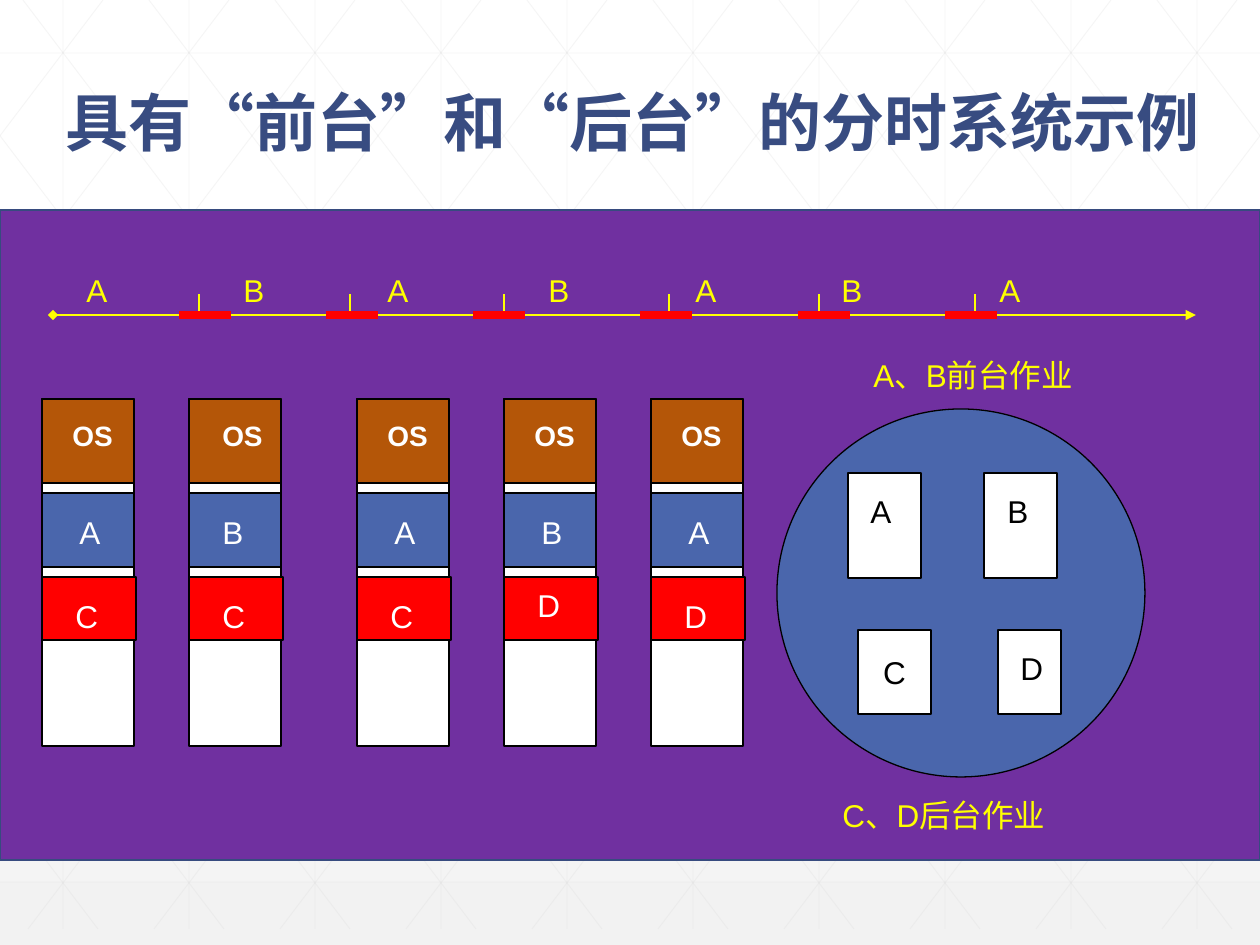
from lxml import etree
from pptx import Presentation
from pptx import util as u
from pptx.dml.color import RGBColor
from pptx.enum import shapes, text
from pptx.oxml.ns import qn

PX = u.Inches(1) / 126
WIDTH, HEIGHT, GRID_BOTTOM = 1260, 945, 929
COLOURS = {
    "white": "FFFFFF", "pale": "F2F2F2", "grid": "D9D9D9", "purple": "7030A0",
    "edge": "374B7F", "title": "384C81", "blue": "4A66AC", "brown": "B45608",
    "red": "FF0000", "yellow": "FFFF00", "black": "000000",
}
CJK, SERIF, SANS = "Noto Sans CJK SC", "Times New Roman", "Arial"

TITLE = [("具有", CJK), ("“", SERIF), ("前台", CJK), ("”", SERIF), ("和", CJK),
         ("“", SERIF), ("后台", CJK), ("”", SERIF), ("的分时系统示例", CJK)]
AXIS_Y = 315
TICKS = [199, 350, 504, 669, 819, 975]
SWITCHES = [179, 326, 473, 640, 798, 945]
TURNS = [("A", 74), ("B", 231), ("A", 375), ("B", 536), ("A", 683), ("B", 829), ("A", 987)]
# left, foreground job, background job, OS label offset, job label offset, lift of last label
MEMORY = [
    (42, "A", "C", 18, 25, 0),
    (189, "B", "C", 21, 21, 0),
    (357, "A", "C", 18, 25, 0),
    (504, "B", "D", 18, 25, 11),
    (651, "A", "D", 18, 25, 0),
]
# name, box, label box (None: centred in the job box)
JOBS = [
    ("A", (848, 473, 73, 105), (858, 483, 53, 50)),
    ("B", (984, 473, 73, 105), (995, 483, 53, 50)),
    ("C", (858, 630, 73, 84), None),
    ("D", (998, 630, 63, 84), (1008, 640, 63, 50)),
]
CAPTIONS = [("A、B前台作业", (861, 347, 284, 50)), ("C、D后台作业", (830, 787, 336, 50))]


def emu(*lengths):
    return [round(length * PX) for length in lengths]


def colour(name):
    return RGBColor.from_string(COLOURS[name])


def apply(target, **values):
    for name, value in values.items():
        setattr(target, name, value)


def add_span(para, words, font, tint, size, bold=False, asian=None):
    span = para.add_run()
    span.text = words
    apply(span.font, size=u.Pt(size), bold=bold, name=font)
    span.font.color.rgb = colour(tint)
    etree.SubElement(span.font._element, qn("a:ea"), typeface=asian or font)


def add_box(page, kind, place, fill, edge="black", weight=0.75):
    box = page.shapes.add_shape(kind, *emu(*place))
    box.shadow.inherit = False
    box.fill.solid()
    box.fill.fore_color.rgb = colour(fill)
    box.line.color.rgb = colour(edge)
    box.line.width = u.Pt(weight)
    return box


def add_label(page, words, place, tint, size=18, bold=False):
    frame = page.shapes.add_textbox(*emu(*place)).text_frame
    top, bottom = emu(9, 3)
    apply(frame, word_wrap=True, margin_top=top, margin_bottom=bottom)
    add_span(frame.paragraphs[0], words, SANS, tint, size, bold)


def add_line(page, ends, tint, weight, alpha=None, head=None, tail=None):
    line = page.shapes.add_connector(shapes.MSO_CONNECTOR.STRAIGHT, *emu(*ends))
    line.line.color.rgb = colour(tint)
    line.line.width = u.Pt(weight)
    properties = line._element.spPr
    if alpha:
        tone = next(properties.iter(qn("a:srgbClr")))
        etree.SubElement(tone, qn("a:alpha"), val=str(alpha * 1000))
    for tag, arrow in (("a:headEnd", head), ("a:tailEnd", tail)):
        if arrow:
            etree.SubElement(line.line._get_or_add_ln(), qn(tag), type=arrow)
    etree.SubElement(properties, qn("a:effectLst"))


def grid_lines():
    """Ends of the uprights, the levels and both families of slanted lines."""
    for k in range(10):
        yield 63 + 126 * k, 0, 63 + 126 * k, GRID_BOTTOM
    for k in range(6):
        y = 53 + 829 * k // 5
        yield 0, y, WIDTH, y
    slope = GRID_BOTTOM / 705
    for k in range(-5, 10):
        start = 23 + 126 * k
        left, right = max(start, 0), min(start + 705, WIDTH)
        top, bottom = (left - start) * slope, (right - start) * slope
        yield left, top, right, bottom
        yield WIDTH - left, top, WIDTH - right, bottom


def draw_background(page):
    fill = page.background.fill
    fill.gradient()
    fill.gradient_angle = 270
    for stop, position, name in zip(fill.gradient_stops, (0.53, 1), ("white", "pale")):
        stop.position = position
        stop.color.rgb = colour(name)
    for ends in grid_lines():
        add_line(page, ends, "grid", 0.5, alpha=25)
    add_box(page, RECT, (0, 210, WIDTH, 650), "purple", "edge", 1)


def write_title(page):
    title = page.shapes.title
    page.shapes._spTree.append(title._element)
    left, top, width, height = emu(53, 86, 1179, 157)
    apply(title, left=left, top=top, width=width, height=height)
    apply(title.text_frame, word_wrap=True, auto_size=text.MSO_AUTO_SIZE.NONE,
          vertical_anchor=text.MSO_ANCHOR.TOP)
    para = title.text_frame.paragraphs[0]
    apply(para, alignment=text.PP_ALIGN.LEFT, line_spacing=0.9)
    for words, font in TITLE:
        add_span(para, words, font, "title", 36, True, CJK)


def draw_timeline(page):
    add_line(page, (53, AXIS_Y, 1196, AXIS_Y), "yellow", 1, head="diamond", tail="triangle")
    for x in TICKS:
        add_line(page, (x, 294, x, AXIS_Y), "yellow", 0.75)
    for x in SWITCHES:
        add_line(page, (x, AXIS_Y, x + 52, AXIS_Y), "red", 4.5)
    for job, x in TURNS:
        add_label(page, job, (x, 262, 63, 50), "yellow")


def draw_memory(page):
    for x, front, back, os_shift, job_shift, lift in MEMORY:
        add_box(page, RECT, (x, 399, 92, 347), "white")
        add_box(page, RECT, (x, 399, 92, 84), "brown")
        add_label(page, "OS", (x + os_shift, 410, 73, 46), "white", 16, True)
        add_box(page, RECT, (x, 493, 92, 74), "blue")
        add_label(page, front, (x + job_shift, 504, 49, 50), "white")
        add_box(page, RECT, (x, 577, 94, 63), "red")
        add_label(page, back, (x + 21, 588 - lift, 53, 50), "white")


def draw_jobs(page):
    add_box(page, shapes.MSO_SHAPE.OVAL, (777, 409, 368, 368), "blue")
    for job, place, label_place in JOBS:
        box = add_box(page, RECT, place, "white")
        if label_place:
            add_label(page, job, label_place, "black")
        else:
            apply(box.text_frame, word_wrap=False, vertical_anchor=text.MSO_ANCHOR.MIDDLE)
            para = box.text_frame.paragraphs[0]
            para.alignment = text.PP_ALIGN.CENTER
            add_span(para, job, SANS, "black", 18)
    for words, place in CAPTIONS:
        add_label(page, words, place, "yellow")


RECT = shapes.MSO_SHAPE.RECTANGLE


def main():
    deck = Presentation()
    deck.slide_width, deck.slide_height = emu(WIDTH, HEIGHT)
    page = deck.slides.add_slide(deck.slide_layouts[5])
    for draw in (draw_background, write_title, draw_jobs, draw_timeline, draw_memory):
        draw(page)
    deck.save("out.pptx")


if __name__ == "__main__":
    main()
